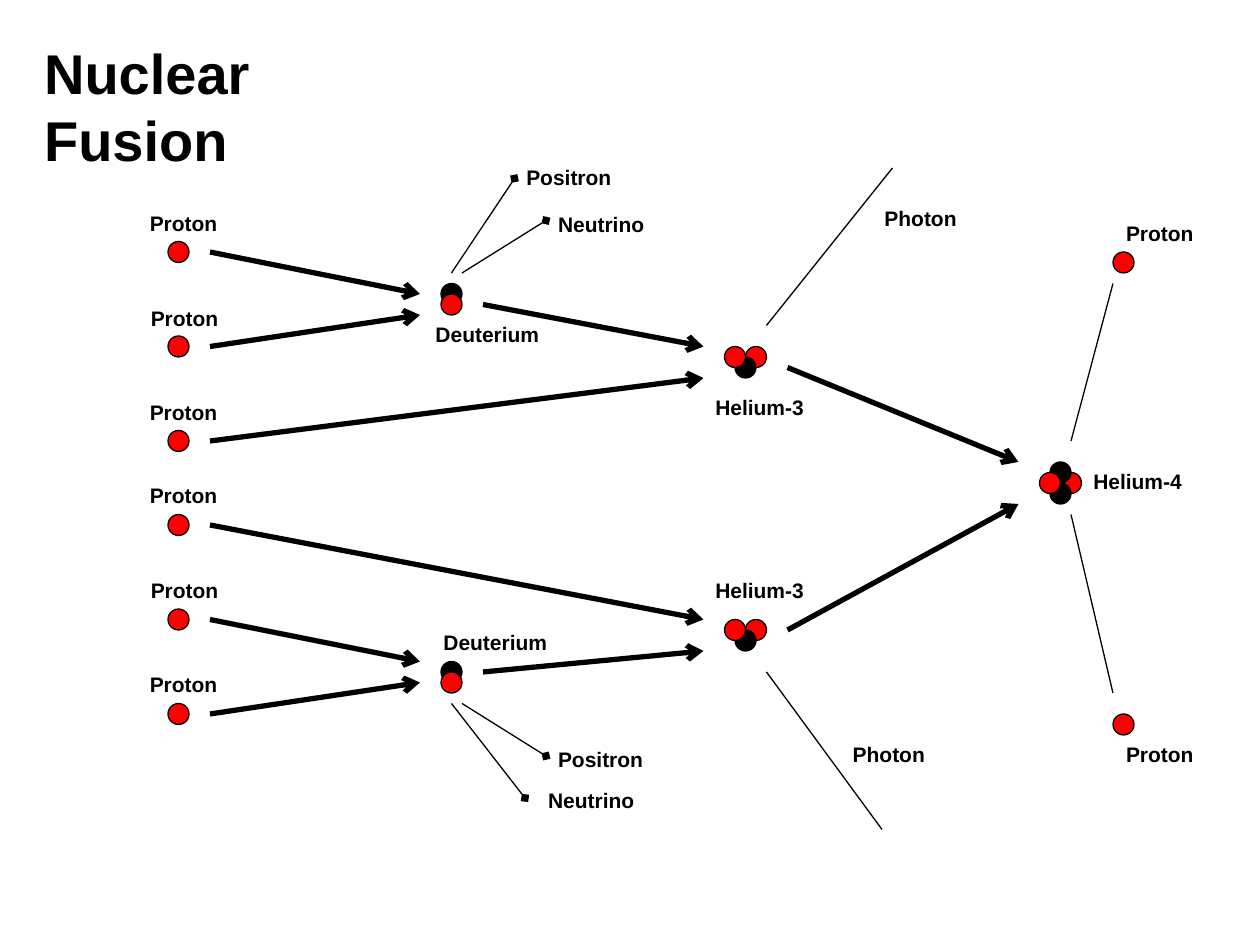
from lxml import etree
from pptx import Presentation
from pptx.dml.color import RGBColor
from pptx.enum import shapes as kinds, text as txt
from pptx.oxml.ns import qn
from pptx.util import Cm, Pt

RED, BLACK = "FF0000", "000000"
STEP = 2.54 / 12  # the drawing sits on a grid of twelfths of an inch


def paint(color, hue):
    color.rgb = RGBColor.from_string(hue)


def write(box, words, size, wrap):
    frame = box.text_frame
    look = {"word_wrap": wrap, "auto_size": txt.MSO_AUTO_SIZE.NONE,
            "vertical_anchor": txt.MSO_ANCHOR.TOP,
            "margin_left": Cm(0.25), "margin_right": Cm(0.25),
            "margin_top": Cm(0.13), "margin_bottom": Cm(0.13)}
    for key, val in look.items():
        setattr(frame, key, val)
    frame.text = words
    para = frame.paragraphs[0]
    para.alignment = txt.PP_ALIGN.LEFT
    para.line_spacing = 1.0
    for key, val in {"name": "Arial", "size": Pt(size), "bold": True}.items():
        setattr(para.font, key, val)
    paint(para.font.color, BLACK)


deck = Presentation()
deck.slide_width, deck.slide_height = Cm(25.4), Cm(19.05)
slide = deck.slides.add_slide(deck.slide_layouts[5])
parts = slide.shapes

# Title
title = parts.title
place = {"left": 0.64, "top": 0.64, "width": 8.66, "height": 1.63}
for key, val in place.items():
    setattr(title, key, Cm(val))
write(title, "Nuclear Fusion", 32, False)

# Lines in grid steps: x1, y1, x2, y2, grouped by width and arrowhead
lines = [
    (3, "arrow", [
        (20, 24, 40, 28), (20, 33, 40, 30), (46, 29, 67, 33), (20, 42, 67, 36),
        (20, 59, 40, 63), (20, 68, 40, 65), (46, 64, 67, 62), (20, 50, 67, 59),
        (75, 35, 97, 44), (75, 60, 97, 48)]),
    (0.75, "diamond", [
        (44, 26, 52, 21), (43, 26, 49, 17), (44, 67, 52, 72), (43, 67, 50, 76)]),
    (0.75, None, [
        (73, 31, 85, 16), (73, 64, 84, 79), (102, 42, 106, 27), (102, 49, 106, 66)]),
]
for width, head, ends in lines:
    for end in ends:
        line = parts.add_connector(kinds.MSO_CONNECTOR.STRAIGHT,
                                   *[Cm(n * STEP) for n in end])
        line.line.width = Pt(width)
        paint(line.line.color, BLACK)
        if head:
            etree.SubElement(line.line._get_or_add_ln(), qn("a:tailEnd"), type=head)
        etree.SubElement(line._element.spPr, qn("a:effectLst"))

# Particles in grid steps: left, top, colour, from back to front
balls = [(16, y, RED) for y in (23, 32, 41, 49, 58, 67)]
for y in (27, 63):  # deuterium
    balls += [(42, y, BLACK), (42, y + 1, RED)]
for y in (33, 59):  # helium-3
    balls += [(71, y, RED), (70, y + 1, BLACK), (69, y, RED)]
balls += [(101, 45, RED), (100, 46, BLACK), (100, 44, BLACK), (99, 45, RED)]
balls += [(106, 24, RED), (106, 68, RED)]
for x, y, hue in balls:
    ball = parts.add_shape(kinds.MSO_SHAPE.OVAL,
                           *[Cm(n * STEP) for n in (x, y, 2, 2)])
    ball.shadow.inherit = False
    ball.fill.solid()
    paint(ball.fill.fore_color, hue)
    ball.line.width = Pt(0.75)
    paint(ball.line.color, BLACK)

# Labels in centimetres: left and top of each box
labels = {
    "Proton": [(2.77, 4.11), (2.79, 6.02), (2.77, 7.92), (2.77, 9.6),
               (2.79, 11.51), (2.77, 13.41), (22.45, 4.32), (22.45, 14.81)],
    "Deuterium": [(8.53, 6.35), (8.69, 12.57)],
    "Positron": [(10.36, 3.18), (11, 14.91)],
    "Neutrino": [(11, 4.14), (10.8, 15.75)],
    "Photon": [(17.58, 4.01), (16.94, 14.81)],
    "Helium-3": [(14.17, 7.82), (14.17, 11.51)],
    "Helium-4": [(21.79, 9.32)],
}
for words, spots in labels.items():
    wrap = words != "Proton"
    for x, y in spots:
        box = parts.add_textbox(Cm(x), Cm(y), Cm(2.69 if wrap else 1.85), Cm(0.76))
        write(box, words, 12, wrap)

deck.save("out.pptx")
